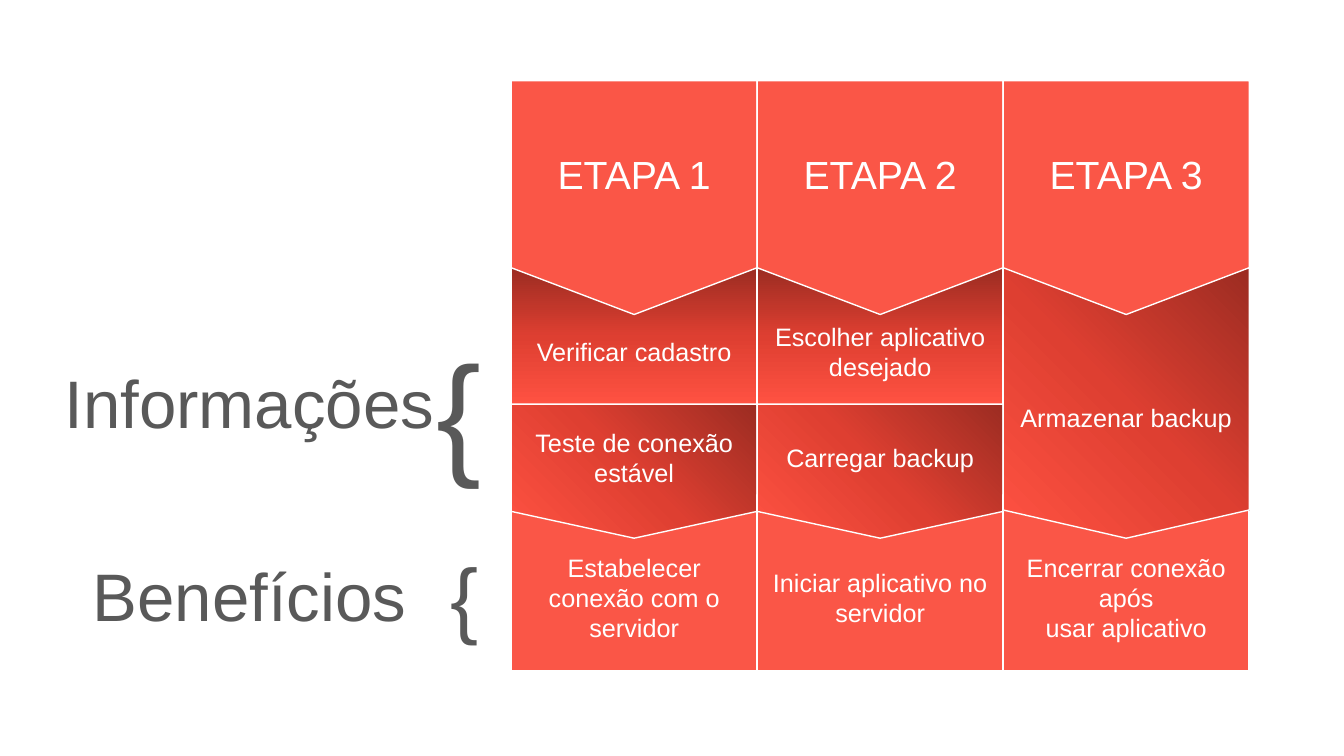
from copy import deepcopy

from pptx import Presentation
from pptx.dml.color import RGBColor
from pptx.enum.shapes import MSO_SHAPE
from pptx.enum.text import MSO_ANCHOR, PP_ALIGN
from pptx.oxml.ns import qn
from pptx.util import Pt

# Content: one entry per column, one list item per paragraph
STAGES = [
    {"title": "ETAPA 1", "steps": ["Verificar cadastro", "Teste de conexão estável"],
     "benefit": ["Estabelecer conexão com o servidor"]},
    {"title": "ETAPA 2", "steps": ["Escolher aplicativo desejado", "Carregar backup"],
     "benefit": ["Iniciar aplicativo no servidor"]},
    {"title": "ETAPA 3", "steps": ["Armazenar backup"],
     "benefit": ["Encerrar conexão após", "usar aplicativo"]},
]
# Text, size in points, left, top, width, height
LABELS = [
    ("Informações", 48, 51, 354, 393, 91),
    ("{", 96, 420, 320, 71, 172),
    ("Benefícios", 48, 51, 545, 393, 91),
    ("{", 60, 425, 535, 71, 111),
]

# Lengths in px, 100 to the inch
PX = 9144
PAGE_WIDTH, PAGE_HEIGHT = 1333, 750
COLUMN_LEFT, COLUMN_WIDTH = 507, 244
TITLE_TOP, TITLE_HEIGHT = 80, 232
FIRST_TOP, FIRST_HEIGHT = 266, 136
SECOND_TOP, SECOND_HEIGHT = 401, 133
BENEFIT_TOP, BENEFIT_HEIGHT = 491, 174
SHOULDER_TOP = 506
LOWERED_INSET = 34

FONT = "Arial"
CORAL = RGBColor(0xFA, 0x56, 0x47)
WHITE = RGBColor(0xFF, 0xFF, 0xFF)
GREY = RGBColor(0x59, 0x59, 0x59)
SHADES = [RGBColor(0x9C, 0x2C, 0x22), RGBColor(0xDE, 0x3F, 0x31), RGBColor(0xFF, 0x52, 0x42)]
DOWN, DOWN_LEFT = 270, 225  # counter-clockwise gradient angles


def write(box, lines, size, color):
    frame = box.text_frame
    frame.word_wrap = True
    for index, line in enumerate(lines):
        para = frame.paragraphs[0] if index == 0 else frame.add_paragraph()
        para.alignment = PP_ALIGN.CENTER
        span = para.add_run()
        span.text = line
        span.font.name = FONT
        span.font.size = Pt(size)
        span.font.color.rgb = color


def shade(box, angle):
    box.fill.gradient()
    stop_list = box._element.spPr.find(qn("a:gradFill")).find(qn("a:gsLst"))
    stop_list.append(deepcopy(stop_list[-1]))
    for index, stop in enumerate(box.fill.gradient_stops):
        stop.position = index / (len(SHADES) - 1)
        stop.color.rgb = SHADES[index]
    box.fill.gradient_angle = angle


def finish(box, lines, size=18, angle=None, lowered=False):
    box.shadow.inherit = False
    box.line.color.rgb = WHITE
    box.line.width = Pt(1)
    if angle is None:
        box.fill.solid()
        box.fill.fore_color.rgb = CORAL
    else:
        shade(box, angle)
    box.text_frame.vertical_anchor = MSO_ANCHOR.MIDDLE
    if lowered:
        box.text_frame.margin_top = LOWERED_INSET * PX
    write(box, lines, size, WHITE)


def add_block(page, kind, left, top, height):
    return page.shapes.add_shape(kind, left * PX, top * PX, COLUMN_WIDTH * PX, height * PX)


def add_tall_step(page, left):
    right, tip = left + COLUMN_WIDTH, SECOND_TOP + SECOND_HEIGHT
    outline = page.shapes.build_freeform(left, FIRST_TOP, scale=PX)
    outline.add_line_segments([
        (right, FIRST_TOP), (right, SHOULDER_TOP),
        (left + COLUMN_WIDTH // 2, tip), (left, SHOULDER_TOP),
    ], close=True)
    return outline.convert_to_shape()


def main():
    deck = Presentation()
    deck.slide_width, deck.slide_height = PAGE_WIDTH * PX, PAGE_HEIGHT * PX
    page = deck.slides.add_slide(deck.slide_layouts[6])
    rectangle, pointed = MSO_SHAPE.RECTANGLE, MSO_SHAPE.FLOWCHART_OFFPAGE_CONNECTOR

    # Stage columns, lower blocks first so the points overlap them
    for index, stage in enumerate(STAGES):
        left = COLUMN_LEFT + index * COLUMN_WIDTH
        benefit = add_block(page, rectangle, left, BENEFIT_TOP, BENEFIT_HEIGHT)
        finish(benefit, stage["benefit"], lowered=True)

        steps = stage["steps"]
        if len(steps) == 1:
            finish(add_tall_step(page, left), steps, angle=DOWN_LEFT, lowered=True)
        else:
            first = add_block(page, rectangle, left, FIRST_TOP, FIRST_HEIGHT)
            finish(first, steps[:1], angle=DOWN, lowered=True)
            second = add_block(page, pointed, left, SECOND_TOP, SECOND_HEIGHT)
            finish(second, steps[1:], angle=DOWN_LEFT)

        title = add_block(page, pointed, left, TITLE_TOP, TITLE_HEIGHT)
        finish(title, [stage["title"]], size=28)

    # Row labels and braces
    for text, size, *place in LABELS:
        label = page.shapes.add_textbox(*(length * PX for length in place))
        write(label, [text], size, GREY)

    deck.save("out.pptx")


if __name__ == "__main__":
    main()
